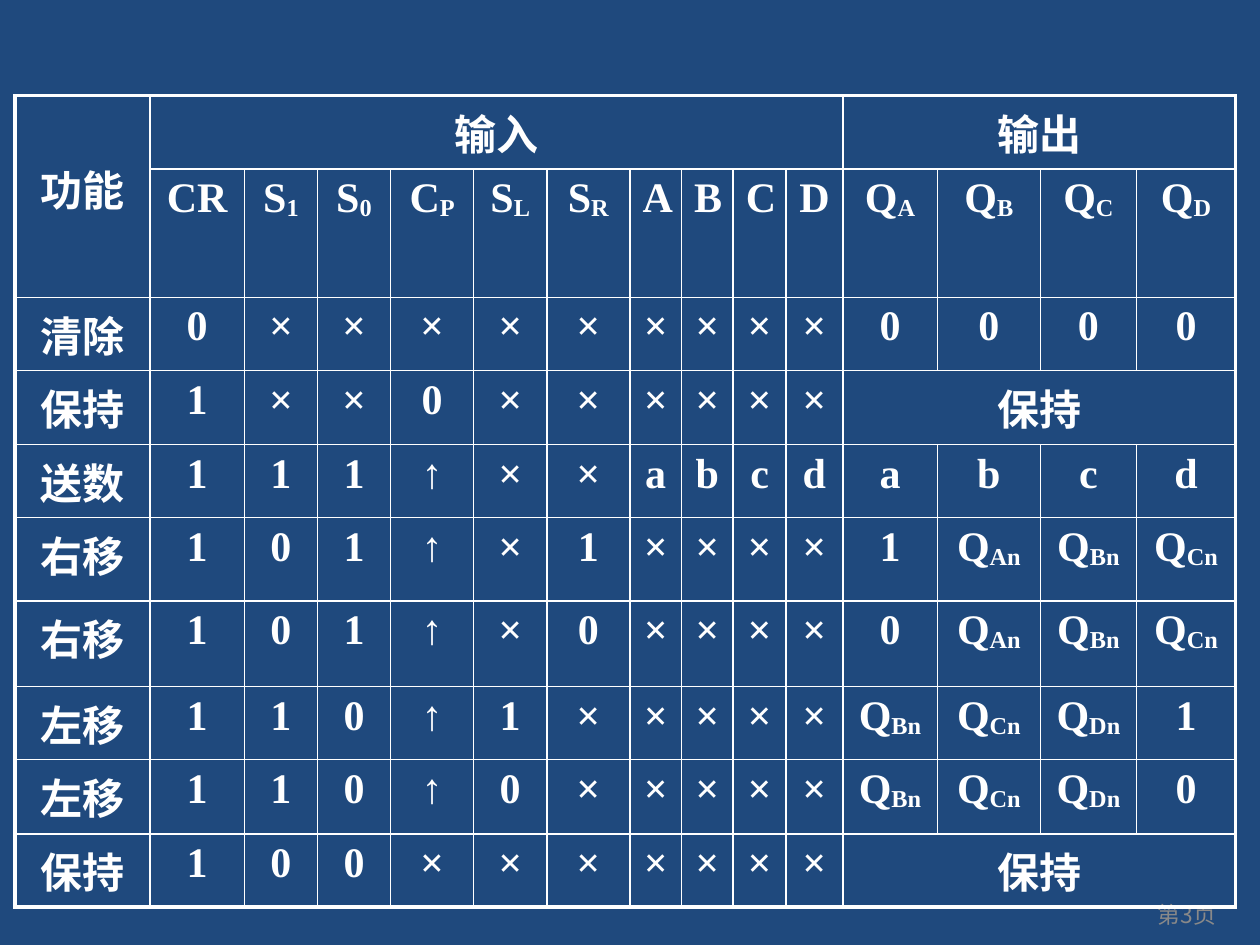
import pptx
import pptx.util
import pptx.dml.color
import pptx.enum.text
import pptx.oxml
import pptx.oxml.ns

Inches = pptx.util.Inches
Pt = pptx.util.Pt
CENTER = pptx.enum.text.PP_ALIGN.CENTER
MIDDLE = pptx.enum.text.MSO_ANCHOR.MIDDLE

NAVY = pptx.dml.color.RGBColor(0x1F, 0x49, 0x7D)
WHITE = pptx.dml.color.RGBColor(0xFF, 0xFF, 0xFF)
GRAY = pptx.dml.color.RGBColor(0x89, 0x89, 0x89)
LATIN_FONT = "Times New Roman"
CJK_FONT = "Noto Sans CJK SC"

COLUMN_WIDTHS = [1.07, 0.75, 0.58, 0.58, 0.66, 0.58, 0.66,
                 0.41, 0.41, 0.42, 0.45, 0.75, 0.82, 0.76, 0.79]
ROW_HEIGHTS = [0.58, 1.02, 0.58, 0.59, 0.58, 0.66, 0.68, 0.58, 0.59, 0.58]

# One line per table row; "_" starts a subscript, "." is covered by a merged cell
FUNCTION_TABLE = [
    "功能 输入 . . . . . . . . . 输出 . . .",
    ". CR S_1 S_0 C_P S_L S_R A B C D Q_A Q_B Q_C Q_D",
    "清除 0 × × × × × × × × × 0 0 0 0",
    "保持 1 × × 0 × × × × × × 保持 . . .",
    "送数 1 1 1 ↑ × × a b c d a b c d",
    "右移 1 0 1 ↑ × 1 × × × × 1 Q_An Q_Bn Q_Cn",
    "右移 1 0 1 ↑ × 0 × × × × 0 Q_An Q_Bn Q_Cn",
    "左移 1 1 0 ↑ 1 × × × × × Q_Bn Q_Cn Q_Dn 1",
    "左移 1 1 0 ↑ 0 × × × × × Q_Bn Q_Cn Q_Dn 0",
    "保持 1 0 0 × × × × × × × 保持 . . .",
]
# First row, first column, last row, last column
MERGED = [(0, 0, 1, 0), (0, 1, 0, 10), (0, 11, 0, 14), (3, 11, 3, 14), (9, 11, 9, 14)]


def add_run(paragraph, text, size, color, bold, font_name):
    run = paragraph.add_run()
    run.text = text
    run.font.size = Pt(size)
    run.font.bold = bold
    run.font.color.rgb = color
    run.font.name = font_name
    if any("一" <= letter <= "龥" for letter in text):
        east_asian = pptx.oxml.parse_xml(
            f'<a:ea {pptx.oxml.ns.nsdecls("a")} typeface="{CJK_FONT}"/>')
        run.font._element.append(east_asian)
    return run


def set_borders(cell, widths):
    properties = cell._tc.get_or_add_tcPr()
    for position, (side, width) in enumerate(widths.items()):
        properties.insert(position, pptx.oxml.parse_xml(
            f'<a:ln{side} {pptx.oxml.ns.nsdecls("a")} w="{Pt(width)}">'
            f'<a:solidFill><a:srgbClr val="{WHITE}"/></a:solidFill></a:ln{side}>'))


presentation = pptx.Presentation()
presentation.slide_width = Inches(10)
presentation.slide_height = Inches(7.5)
slide = presentation.slides.add_slide(presentation.slide_layouts[6])
slide.background.fill.solid()
slide.background.fill.fore_color.rgb = NAVY

# Page number
page_number = slide.shapes.add_textbox(
    Inches(8.87), Inches(7.06), Inches(1.1), Inches(0.4)).text_frame
page_number.word_wrap = True
page_number.vertical_anchor = MIDDLE
page_number.paragraphs[0].alignment = CENTER
add_run(page_number.paragraphs[0], "第3页", 13, GRAY, False, CJK_FONT)

# Function table grid
rows, columns = len(ROW_HEIGHTS), len(COLUMN_WIDTHS)
functions = slide.shapes.add_table(
    rows, columns, Inches(0.12), Inches(0.76),
    Inches(sum(COLUMN_WIDTHS)), Inches(sum(ROW_HEIGHTS))).table
functions.first_row = False
functions.horz_banding = False
for column, width in zip(functions.columns, COLUMN_WIDTHS):
    column.width = Inches(width)
for row, height in zip(functions.rows, ROW_HEIGHTS):
    row.height = Inches(height)
for top, left, bottom, right in MERGED:
    functions.cell(top, left).merge(functions.cell(bottom, right))
last_columns = {(top, left): right for top, left, bottom, right in MERGED}

# Cell contents, with a thicker line round the outside
for r, line in enumerate(FUNCTION_TABLE):
    for c, entry in enumerate(line.split()):
        cell = functions.cell(r, c)
        cell.fill.background()
        set_borders(cell, {
            "L": 2.25 if c == 0 else 1,
            "R": 2.25 if last_columns.get((r, c), c) == columns - 1 else 1,
            "T": 2.25 if r == 0 else 1,
            "B": 2.25 if r == rows - 1 else 1,
        })
        if entry == ".":
            continue
        paragraph = cell.text_frame.paragraphs[0]
        paragraph.alignment = CENTER
        base, _, subscript = entry.partition("_")
        add_run(paragraph, base, 24, WHITE, True, LATIN_FONT)
        if subscript:
            run = add_run(paragraph, subscript, 24, WHITE, True, LATIN_FONT)
            run.font._element.set("baseline", "-10000")

# The function heading sits lower in its two-row cell
functions.cell(0, 0).margin_top = Inches(0.49)

presentation.save("out.pptx")
